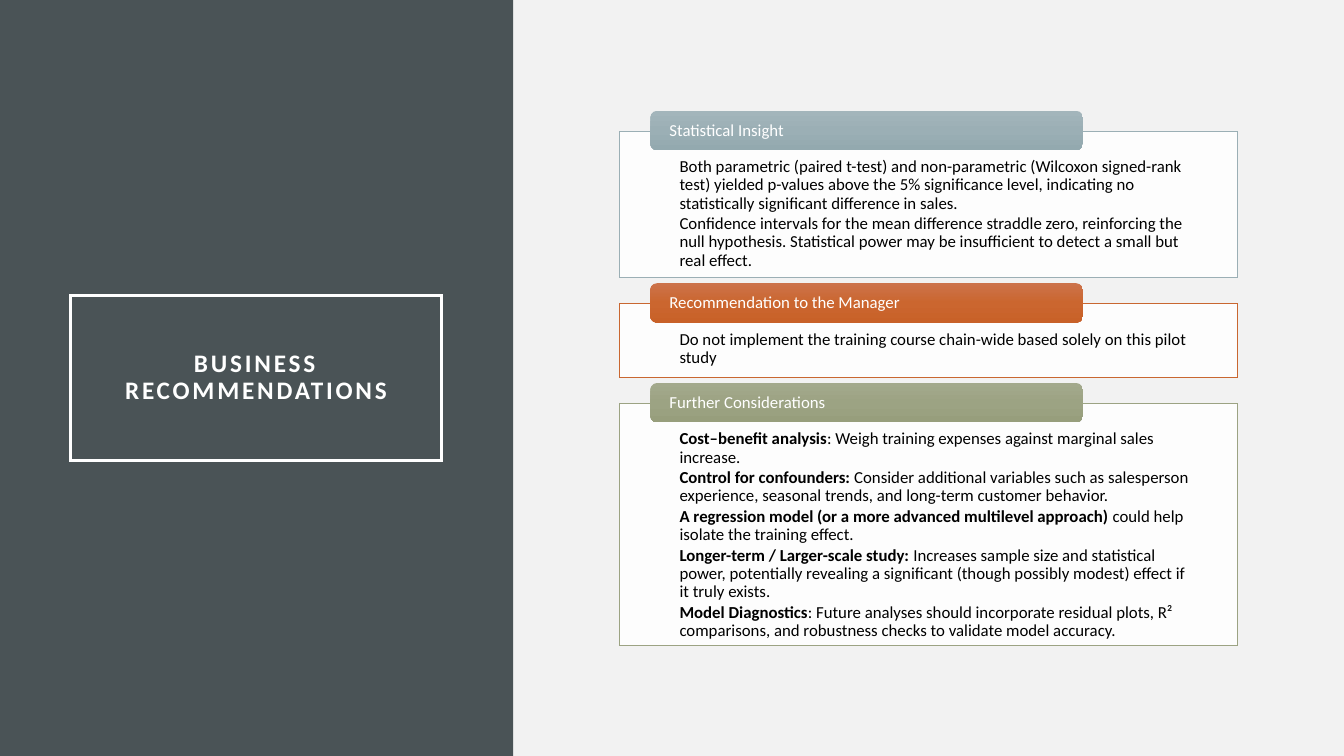
from copy import deepcopy

from pptx import Presentation
from pptx.dml.color import RGBColor
from pptx.enum.shapes import MSO_SHAPE
from pptx.enum.text import MSO_ANCHOR, PP_ALIGN
from pptx.oxml.ns import qn
from pptx.util import Inches, Pt

COLORS = {
    "back": "F2F2F2", "side": "4A5356", "white": "FFFFFF", "black": "000000",
    "blue": "9BAFB5", "orange": "C96731", "green": "9CA383",
}
# Top, middle and bottom of each tab's gradient
SHADES = {
    "blue": ("A3B5BB", "9BAFB5", "93A9AF"),
    "orange": ("CC734B", "CB662F", "C86128"),
    "green": ("A3A98C", "9CA383", "979E7C"),
}
# Title, colour, height, paragraphs as (bold lead, plain rest)
CARDS = [
    ("Statistical Insight", "blue", 1.45, [
        ("", "Both parametric (paired t-test) and non-parametric (Wilcoxon "
             "signed-rank test) yielded p-values above the 5% significance level, "
             "indicating no statistically significant difference in sales."),
        ("", "Confidence intervals for the mean difference straddle zero, "
             "reinforcing the null hypothesis. Statistical power may be "
             "insufficient to detect a small but real effect."),
    ]),
    ("Recommendation to the Manager", "orange", 0.73, [
        ("", "Do not implement the training course chain-wide based solely on "
             "this pilot study"),
    ]),
    ("Further Considerations", "green", 2.4, [
        ("Cost–benefit analysis",
         ": Weigh training expenses against marginal sales increase."),
        ("Control for confounders: ",
         "Consider additional variables such as salesperson experience, "
         "seasonal trends, and long-term customer behavior."),
        ("A regression model (or a more advanced multilevel approach) ",
         "could help isolate the training effect."),
        ("Longer-term / Larger-scale study: ",
         "Increases sample size and statistical power, potentially revealing a "
         "significant (though possibly modest) effect if it truly exists."),
        ("Model Diagnostics",
         ": Future analyses should incorporate residual plots, R² comparisons, "
         "and robustness checks to validate model accuracy."),
    ]),
]


def add_box(left, top, width, height, fill=None, line=None, weight=0.5,
            kind=MSO_SHAPE.RECTANGLE):
    box = slide.shapes.add_shape(
        kind, Inches(left), Inches(top), Inches(width), Inches(height))
    box.shadow.inherit = False
    if fill:
        box.fill.solid()
        box.fill.fore_color.rgb = RGBColor.from_string(COLORS[fill])
    else:
        box.fill.background()
    if line:
        box.line.color.rgb = RGBColor.from_string(COLORS[line])
        box.line.width = Pt(weight)
        edge = box._element.spPr.find(qn("a:ln"))
        edge.append(edge.makeelement(qn("a:miter"), {"lim": "800000"}))
    else:
        box.line.fill.background()
    return box


def add_text(box, paras, size=12, color="white", align=PP_ALIGN.LEFT,
             anchor=MSO_ANCHOR.MIDDLE, inset=(0.17, 0, 0.17, 0), track=0):
    """Fill a box with paragraphs, each a pair of bold lead and plain rest."""
    frame = box.text_frame
    frame.word_wrap = True
    frame.vertical_anchor = anchor
    (frame.margin_left, frame.margin_top,
     frame.margin_right, frame.margin_bottom) = map(Inches, inset)
    for num, pair in enumerate(paras):
        para = frame.add_paragraph() if num else frame.paragraphs[0]
        para.alignment = align
        para.line_spacing = 0.9
        para.space_after = Pt(1.8)
        for text, bold in zip(pair, (True, False)):
            if not text:
                continue
            run = para.add_run()
            run.text = text
            run.font.name = "Calibri"
            run.font.size = Pt(size)
            run.font.bold = bold
            run.font.color.rgb = RGBColor.from_string(COLORS[color])
            if track:
                run.font._element.set("spc", str(track * 100))


deck = Presentation()
deck.slide_width = Inches(13.33)
deck.slide_height = Inches(7.5)
slide = deck.slides.add_slide(deck.slide_layouts[6])
slide.background.fill.solid()
slide.background.fill.fore_color.rgb = RGBColor.from_string(COLORS["back"])

# Side panel and title
add_box(0, 0, 5.09, 7.5, fill="side")
title = add_box(0.7, 2.93, 3.68, 1.64, line="white", weight=2.5)
add_text(title, [("BUSINESS RECOMMENDATIONS", "")], size=18,
         align=PP_ALIGN.CENTER, inset=(0.2, 0.2, 0.2, 0.2), track=2)

# Stacked cards, each with a tab over its top edge
top = 1.3
for name, hue, height, paras in CARDS:
    card = add_box(6.14, top, 6.13, height, fill="white", line=hue)
    white = card._element.spPr.find(qn("a:solidFill"))[0]
    white.append(white.makeelement(qn("a:alpha"), {"val": "90000"}))
    add_text(card, paras, color="black", anchor=MSO_ANCHOR.TOP,
             inset=(0.6, 0.27, 0.43, 0.09))

    tab = add_box(6.45, top - 0.2, 4.29, 0.39, kind=MSO_SHAPE.ROUNDED_RECTANGLE)
    tab.fill.gradient()
    tab.fill.gradient_angle = 270
    stops = tab._element.spPr.find(qn("a:gradFill")).find(qn("a:gsLst"))
    stops.insert(1, deepcopy(stops[0]))
    for num, stop in enumerate(tab.fill.gradient_stops):
        stop.position = num / 2
        stop.color.rgb = RGBColor.from_string(SHADES[hue][num])
    add_text(tab, [("", name)])
    top += height + 0.26

deck.save("out.pptx")
